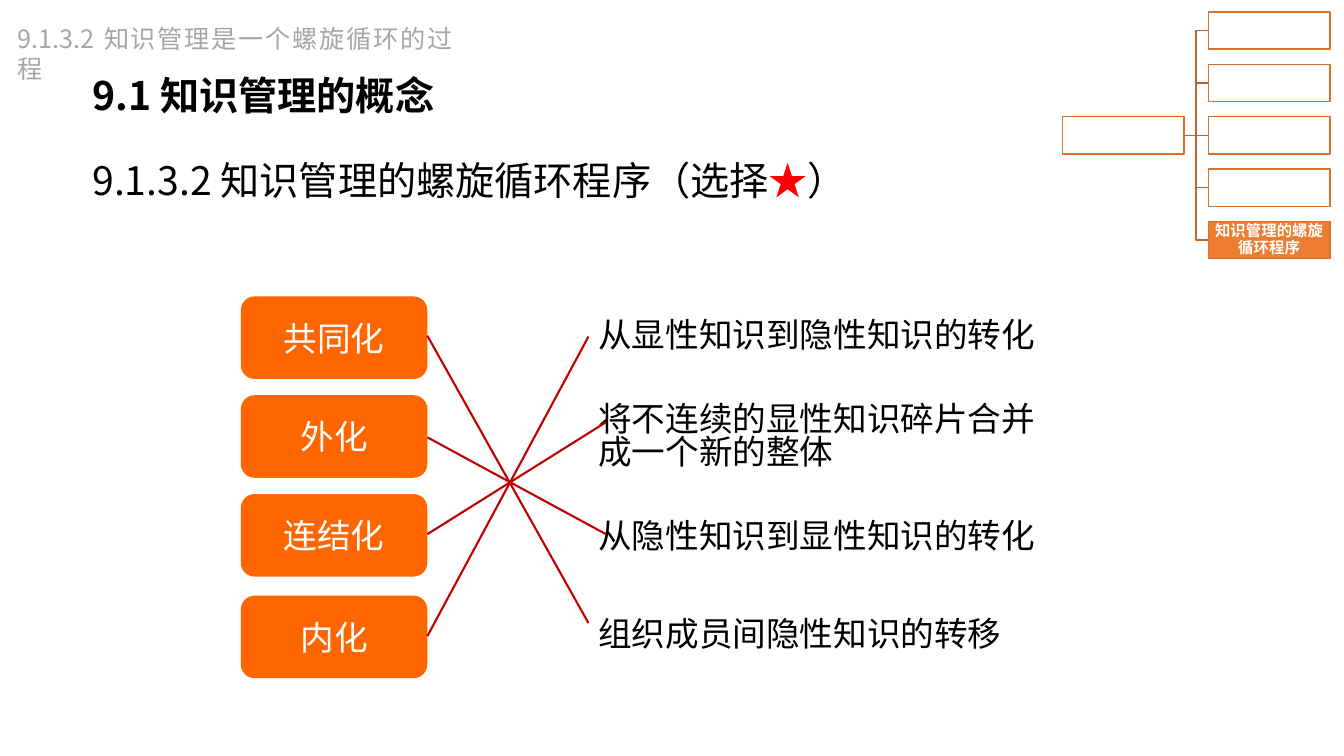
"""Build the slide on the spiral cycle of knowledge management."""
from dataclasses import dataclass

from lxml import etree
from pptx import Presentation
from pptx import util as u
from pptx.dml import color
from pptx.enum import shapes, text
from pptx.oxml import ns

SANS_SC = "Noto Sans CJK SC"
SANS_JP = "Noto Sans CJK JP"
MIDDLE = text.MSO_ANCHOR.MIDDLE
CENTER = text.PP_ALIGN.CENTER


@dataclass
class Area:
    left: float
    top: float
    width: float
    height: float

    def lengths(self) -> list:
        return [u.Cm(n) for n in (self.left, self.top, self.width, self.height)]


@dataclass
class Style:
    size: float
    face: str
    ink: str = "000000"
    bold: bool = False
    align: text.PP_ALIGN | None = None
    spacing: float | u.Length | None = None
    anchor: text.MSO_ANCHOR = text.MSO_ANCHOR.TOP
    inset: tuple[float, float] = (0.25, 0.13)
    grow: bool = False


@dataclass
class Note:
    top: float
    wording: str
    width: float = 14.61
    height: float = 1.14


@dataclass
class Match:
    step_y: float
    note_x: float
    note_y: float


SECTION = Style(28, SANS_SC, bold=True, inset=(0.3, 0.15), grow=True)
TOPIC = Style(28, SANS_SC, spacing=1.5, anchor=MIDDLE, inset=(0.3, 0.15))
CRUMB = Style(18, SANS_SC, "A6A6A6", align=text.PP_ALIGN.JUSTIFY, grow=True)
NOTE = Style(24, SANS_JP, spacing=u.Pt(24), anchor=MIDDLE, grow=True)
STEP = Style(24, SANS_JP, "FFFFFF", align=CENTER, anchor=MIDDLE)
LEAF = Style(11, SANS_SC, "FFFFFF", True, CENTER, 0.9, MIDDLE, (0.03, 0.03))

STEPS = {"共同化": 7.47, "外化": 9.96, "连结化": 12.45, "内化": 15.01}
STEP_LEFT, STEP_WIDTH, STEP_HEIGHT = 6.07, 4.7, 2.08
NOTE_LEFT = 14.83
NOTES = [
    Note(7.92, "从显性知识到隐性知识的转化"),
    Note(10.03, "将不连续的显性知识碎片合并成一个新的整体", 11.94, 2.01),
    Note(13.0, "从隐性知识到显性知识的转化"),
    Note(15.47, "组织成员间隐性知识的转移"),
]
MATCHES = [
    Match(8.46, 14.83, 15.7),
    Match(11.02, 15.27, 13.46),
    Match(13.46, 15.27, 10.64),
    Match(16.03, 14.83, 8.48),
]
ROOT = Area(26.77, 2.94, 3.07, 0.94)
LEAVES = [Area(30.45, 0.3 + 1.32 * row, 3.07, 0.94) for row in range(5)]


def rgb(value: str) -> color.RGBColor:
    return color.RGBColor.from_string(value)


def write(shape, style: Style, *pieces: tuple[str, str | None]) -> None:
    """Fill a shape with one paragraph of (wording, own colour) pieces."""
    frame = shape.text_frame
    frame.word_wrap = True
    frame.vertical_anchor = style.anchor
    frame.margin_left = frame.margin_right = u.Cm(style.inset[0])
    frame.margin_top = frame.margin_bottom = u.Cm(style.inset[1])
    if style.grow:
        frame.auto_size = text.MSO_AUTO_SIZE.SHAPE_TO_FIT_TEXT
    para = frame.paragraphs[0]
    para.alignment = style.align
    para.line_spacing = style.spacing
    font = para.font
    font.size, font.bold, font.name = u.Pt(style.size), style.bold, style.face
    font.color.rgb = rgb(style.ink)
    defaults = para._p.pPr.find(ns.qn("a:defRPr"))
    etree.SubElement(defaults, ns.qn("a:ea"), typeface=style.face)
    for wording, ink in pieces:
        span = para.add_run()
        span.text = wording
        if ink:
            span.font.color.rgb = rgb(ink)


def add_text(page, area: Area, style: Style, *pieces: tuple[str, str | None]) -> None:
    write(page.shapes.add_textbox(*area.lengths()), style, *pieces)


def add_block(page, kind, area: Area, fill: str, outline: str | None = None):
    block = page.shapes.add_shape(kind, *area.lengths())
    block.shadow.inherit = False
    block.fill.solid()
    block.fill.fore_color.rgb = rgb(fill)
    if outline:
        block.line.color.rgb = rgb(outline)
        block.line.width = u.Pt(1)
    else:
        block.line.fill.background()
    return block


def add_line(page, start: tuple, end: tuple, ink: str, width: float) -> None:
    line = page.shapes.add_connector(
        shapes.MSO_CONNECTOR.STRAIGHT, *[u.Cm(n) for n in start + end])
    line.line.color.rgb = rgb(ink)
    line.line.width = u.Pt(width)
    etree.SubElement(line._element.spPr, ns.qn("a:effectLst"))


def add_branch(page, leaf: Area) -> None:
    """Link the root of the tree with one leaf."""
    start_x = ROOT.left + ROOT.width
    start_y = ROOT.top + ROOT.height / 2
    end_y = leaf.top + leaf.height / 2
    if abs(end_y - start_y) < 0.01:
        add_line(page, (start_x, start_y), (leaf.left, start_y), "BE6427", 1)
        return
    bend_x = (start_x + leaf.left) / 2
    builder = page.shapes.build_freeform(u.Cm(start_x), u.Cm(start_y))
    corners = [(bend_x, start_y), (bend_x, end_y), (leaf.left, end_y)]
    builder.add_line_segments([(u.Cm(x), u.Cm(y)) for x, y in corners], close=False)
    branch = builder.convert_to_shape()
    branch.shadow.inherit = False
    branch.fill.background()
    branch.line.color.rgb = rgb("BE6427")
    branch.line.width = u.Pt(1)


def add_tree(page) -> None:
    for leaf in LEAVES:
        add_branch(page, leaf)
    for area in [ROOT, *LEAVES[:-1]]:
        add_block(page, shapes.MSO_SHAPE.RECTANGLE, area, "FFFFFF", "D7712C")
    current = add_block(page, shapes.MSO_SHAPE.RECTANGLE, LEAVES[-1], "ED7D31", "D7712C")
    write(current, LEAF, ("知识管理的螺旋循环程序", None))


def main() -> None:
    deck = Presentation()
    deck.slide_width, deck.slide_height = u.Cm(33.87), u.Cm(19.05)
    page = deck.slides.add_slide(deck.slide_layouts[6])
    add_text(page, Area(2.03, 1.65, 29.08, 1.5), SECTION, ("9.1 知识管理的概念", None))
    for note in NOTES:
        area = Area(NOTE_LEFT, note.top, note.width, note.height)
        add_text(page, area, NOTE, (note.wording, None))
    for name, top in STEPS.items():
        area = Area(STEP_LEFT, top, STEP_WIDTH, STEP_HEIGHT)
        step = add_block(page, shapes.MSO_SHAPE.ROUNDED_RECTANGLE, area, "FF6600")
        write(step, STEP, (name, None))
    for match in MATCHES:
        start = (STEP_LEFT + STEP_WIDTH, match.step_y)
        add_line(page, start, (match.note_x, match.note_y), "C00000", 1.5)
    add_text(page, Area(0.2, 0.46, 11.46, 1.02), CRUMB,
             ("9.1.3.2 知识管理是一个螺旋循环的过程", None))
    add_text(page, Area(2.03, 2.92, 30.89, 2.64), TOPIC,
             ("9.1.3.2 知识管理的螺旋循环程序（选择", None), ("★", "FF0000"), ("）", None))
    add_tree(page)
    deck.save("out.pptx")


if __name__ == "__main__":
    main()
